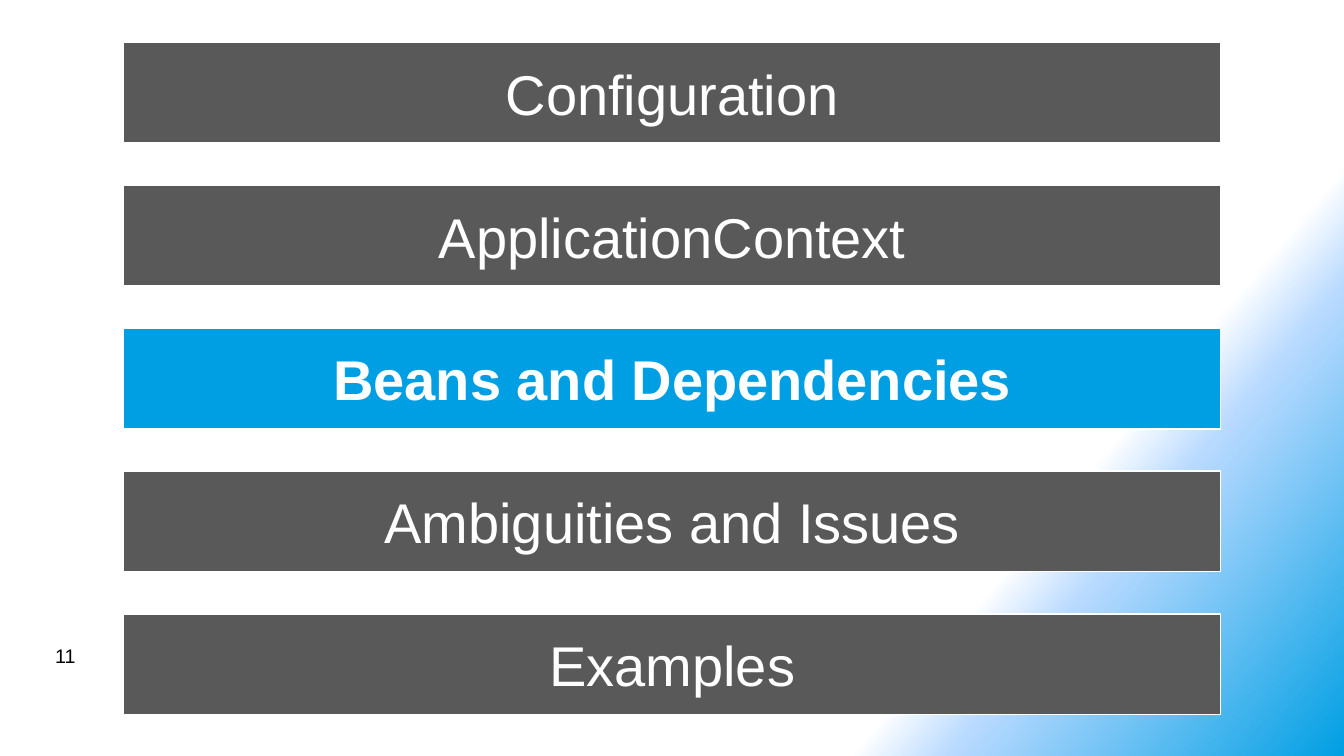
import pptx
import pptx.dml.color
import pptx.enum.shapes
import pptx.enum.text
import pptx.oxml
import pptx.oxml.ns
import pptx.util
from dataclasses import dataclass

Cm = pptx.util.Cm
Pt = pptx.util.Pt
rgb = pptx.dml.color.RGBColor.from_string


@dataclass(frozen=True)
class Theme:
    font: str = "Arial"
    white: str = "FFFFFF"
    black: str = "000000"
    gray: str = "595959"
    blue: str = "009FE3"
    pale_blue: str = "B9DAFF"
    topic_size: int = 40
    number_size: int = 14
    border: int = 1


def write(tf, text, *, font, size, color, bold=False, align=None, anchor=None):
    """Fill a text frame with one formatted run."""
    tf.word_wrap = True
    tf.vertical_anchor = anchor
    p = tf.paragraphs[0]
    p.alignment = align
    r = p.add_run()
    r.text = text
    r.font.name = font
    r.font.size = Pt(size)
    r.font.bold = bold
    r.font.color.rgb = rgb(color)


class Deck:
    def __init__(self, theme, width, height):
        self.theme = theme
        self.prs = pptx.Presentation()
        self.prs.slide_width, self.prs.slide_height = Cm(width), Cm(height)
        self.s = self.prs.slides.add_slide(self.prs.slide_layouts[6])

    def background(self, stops, angle):
        """Linear gradient from (position %, colour, opacity %) stops."""
        gs = "".join(
            f'<a:gs pos="{pos * 1000}"><a:srgbClr val="{color}">'
            f'<a:alpha val="{opacity * 1000}"/></a:srgbClr></a:gs>'
            for pos, color, opacity in stops)
        bg = pptx.oxml.parse_xml(
            f'<p:bg {pptx.oxml.ns.nsdecls("p", "a")}><p:bgPr>'
            f'<a:gradFill rotWithShape="1"><a:gsLst>{gs}</a:gsLst>'
            f'<a:lin ang="{angle * 60000}" scaled="0"/></a:gradFill>'
            '<a:effectLst/></p:bgPr></p:bg>')
        self.s.element.find(pptx.oxml.ns.qn("p:cSld")).insert(0, bg)

    def bar(self, text, x, y, w, h, active=False):
        t = self.theme
        sp = self.s.shapes.add_shape(
            pptx.enum.shapes.MSO_SHAPE.RECTANGLE, Cm(x), Cm(y), Cm(w), Cm(h))
        sp.shadow.inherit = False
        sp.fill.solid()
        sp.fill.fore_color.rgb = rgb(t.blue if active else t.gray)
        sp.line.color.rgb = rgb(t.white)
        sp.line.width = Pt(t.border)
        write(sp.text_frame, text, font=t.font, size=t.topic_size,
              color=t.white, bold=active,
              align=pptx.enum.text.PP_ALIGN.CENTER,
              anchor=pptx.enum.text.MSO_ANCHOR.MIDDLE)

    def label(self, text, x, y, w, h):
        t = self.theme
        sp = self.s.shapes.add_textbox(Cm(x), Cm(y), Cm(w), Cm(h))
        write(sp.text_frame, text, font=t.font, size=t.number_size,
              color=t.black)


theme = Theme()
deck = Deck(theme, 33.87, 19.05)

# Background: white fading to blue in the lower right corner
deck.background([(75, theme.white, 100), (80, theme.pale_blue, 50),
                 (100, theme.blue, 100)], angle=40)

# Slide number
deck.label("11", 1.14, 16.1, 7.9, 0.84)

# Agenda bars, with the current topic highlighted
TOPICS = ["Configuration", "ApplicationContext", "Beans and Dependencies",
          "Ambiguities and Issues", "Examples"]
CURRENT = "Beans and Dependencies"
TOP, PITCH = 1.07, 3.6
for i, topic in enumerate(TOPICS):
    deck.bar(topic, 3.12, TOP + i * PITCH, 27.64, 2.54,
             active=topic == CURRENT)

deck.prs.save("out.pptx")
